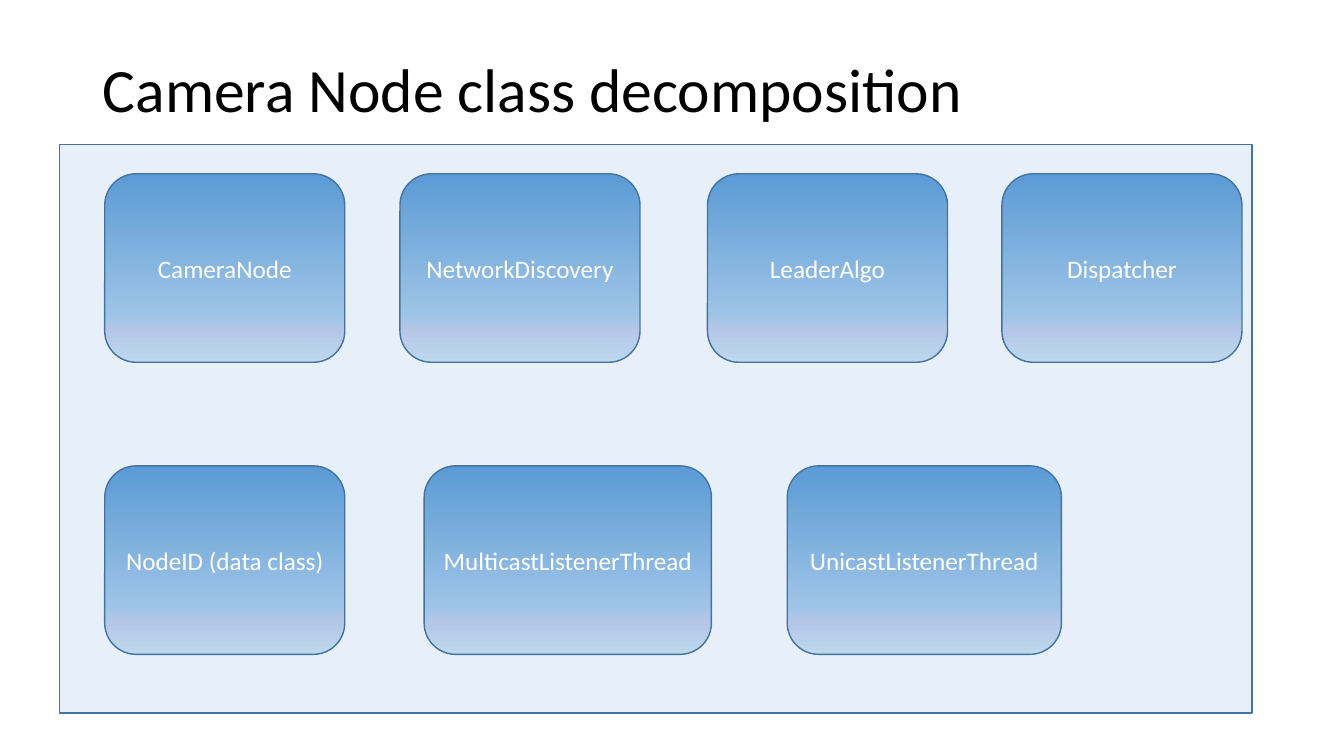
from copy import deepcopy

from pptx import Presentation
from pptx.dml.color import RGBColor
from pptx.enum import shapes, text
from pptx.oxml import ns, parse_xml
from pptx.util import Cm, Pt

BLACK = RGBColor(0x00, 0x00, 0x00)
WHITE = RGBColor(0xFF, 0xFF, 0xFF)
BLUE = RGBColor(0x5B, 0x9B, 0xD5)
EDGE = RGBColor(0x43, 0x73, 0x9E)
FADE = [
    (0, BLUE),
    (0.74, RGBColor(0x9D, 0xC3, 0xE6)),
    (0.83, RGBColor(0xB4, 0xC7, 0xE7)),
    (1, RGBColor(0xBD, 0xD7, 0xEE)),
]

# Each class: name, left edge within the panel, width (cm)
ROWS = [
    [("CameraNode", 1.14, 6.05), ("NetworkDiscovery", 8.58, 6.05),
     ("LeaderAlgo", 16.33, 6.05), ("Dispatcher", 23.75, 6.05)],
    [("NodeID (data class)", 1.14, 6.05),
     ("MulticastListenerThread", 9.19, 7.24),
     ("UnicastListenerThread", 18.34, 6.91)],
]
ROW_TOP, ROW_STEP, BOX_HIGH = 0.74, 7.36, 4.75


def write(shape, words, size=18, color=WHITE, align=text.PP_ALIGN.CENTER,
          spacing=1.0):
    frame = shape.text_frame
    frame.word_wrap = True
    frame.vertical_anchor = text.MSO_ANCHOR.MIDDLE
    para = frame.paragraphs[0]
    para.alignment = align
    para.line_spacing = spacing
    run = para.add_run()
    run.text = words
    run.font.name = "Calibri"
    run.font.size = Pt(size)
    run.font.color.rgb = color


def block(slide, kind, left, top, width, height):
    """Add an outlined shape without shadow."""
    shape = slide.shapes.add_shape(
        kind, Cm(left), Cm(top), Cm(width), Cm(height))
    shape.shadow.inherit = False
    shape.line.color.rgb = EDGE
    shape.line.width = Pt(1)
    return shape


def shade(shape):
    """Fill the shape with the vertical blue fade."""
    fill = shape.fill
    fill.gradient()
    fill.gradient_angle = 270
    stops = shape.element.spPr.find(".//" + ns.qn("a:gsLst"))
    while len(stops) < len(FADE):
        stops.append(deepcopy(stops[0]))
    for stop, (place, color) in zip(fill.gradient_stops, FADE):
        stop.position = place
        stop.color.rgb = color


def title(slide, left, top, width, height):
    box = slide.shapes.add_textbox(
        Cm(left), Cm(top), Cm(width), Cm(height))
    write(box, "Camera Node class decomposition", size=44, color=BLACK,
          align=text.PP_ALIGN.LEFT, spacing=0.9)


def panel(slide, left, top, width, height):
    """Draw the pale panel and its rows of class boxes."""
    back = block(slide, shapes.MSO_SHAPE.RECTANGLE, left, top, width, height)
    back.fill.solid()
    back.fill.fore_color.rgb = BLUE
    tint = back.element.spPr.find(ns.qn("a:solidFill"))[0]
    tint.append(parse_xml(f'<a:alpha {ns.nsdecls("a")} val="14000"/>'))
    for row, items in enumerate(ROWS):
        for name, shift, wide in items:
            box = block(slide, shapes.MSO_SHAPE.ROUNDED_RECTANGLE,
                        left + shift, top + ROW_TOP + row * ROW_STEP,
                        wide, BOX_HIGH)
            shade(box)
            write(box, name)


def main():
    deck = Presentation()
    deck.slide_width, deck.slide_height = Cm(33.87), Cm(19.05)
    slide = deck.slides.add_slide(deck.slide_layouts[6])
    title(slide, 2.34, 1.02, 29.21, 2.62)
    panel(slide, 1.5, 3.64, 30.05, 14.33)
    deck.save("out.pptx")


if __name__ == "__main__":
    main()
